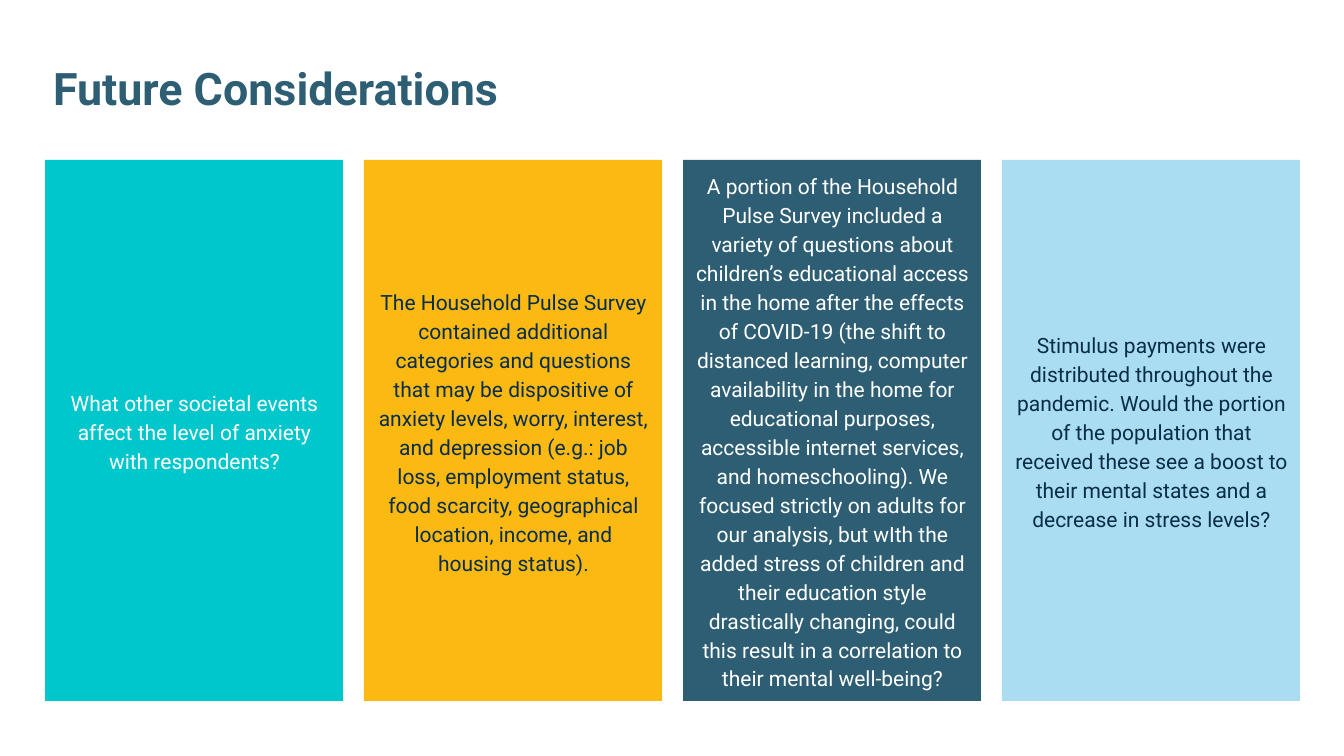
from dataclasses import dataclass

from pptx import Presentation
from pptx.dml.color import RGBColor
from pptx.enum.shapes import MSO_SHAPE
from pptx.enum.text import MSO_ANCHOR, PP_ALIGN
from pptx.slide import Slide
from pptx.text.text import Font
from pptx.util import Pt

SLIDE_WIDTH, SLIDE_HEIGHT = 1344, 756
EMU_PER_PX = 12192000 / SLIDE_WIDTH
CARD_LEFT, CARD_TOP = 45, 160
CARD_WIDTH, CARD_HEIGHT = 298, 541
CARD_PITCH = 319

COLORS = {
    "teal": "00C7CC",
    "amber": "FCB912",
    "slate": "2E5E73",
    "sky": "AADCF2",
    "navy": "082D49",
    "white": "FFFFFF",
}


@dataclass(frozen=True)
class Consideration:
    text: str
    fill: str
    ink: str


CONSIDERATIONS = [
    Consideration(
        "What other societal events affect the level of anxiety with respondents?",
        "teal", "white",
    ),
    Consideration(
        "The Household Pulse Survey contained additional categories and questions "
        "that may be dispositive of anxiety levels, worry, interest, and depression "
        "(e.g.: job loss, employment status, food scarcity, geographical location, "
        "income, and housing status).",
        "amber", "navy",
    ),
    Consideration(
        "A portion of the Household Pulse Survey included a variety of questions "
        "about children’s educational access in the home after the effects of "
        "COVID-19 (the shift to distanced learning, computer availability in the "
        "home for educational purposes, accessible internet services, and "
        "homeschooling). We focused strictly on adults for our analysis, but wIth "
        "the added stress of children and their education style drastically "
        "changing, could this result in a correlation to their mental well-being?",
        "slate", "white",
    ),
    Consideration(
        "Stimulus payments were distributed throughout the pandemic. Would the "
        "portion of the population that received these see a boost to their mental "
        "states and a decrease in stress levels?",
        "sky", "navy",
    ),
]


def px(length: int) -> int:
    return round(length * EMU_PER_PX)


def color(name: str) -> RGBColor:
    return RGBColor.from_string(COLORS[name])


def style_font(font: Font, size: int, ink: str, bold: bool = False) -> None:
    font.name = "Roboto"
    font.size = Pt(size)
    font.bold = bold
    font.color.rgb = color(ink)


def add_heading(slide: Slide, text: str) -> None:
    heading = slide.shapes.title
    heading.left, heading.top = px(0), px(48)
    heading.width, heading.height = px(SLIDE_WIDTH), px(57)
    frame = heading.text_frame
    frame.text = text
    frame.word_wrap = True
    frame.vertical_anchor = MSO_ANCHOR.TOP
    frame.margin_left = px(53)
    frame.margin_top = frame.margin_right = frame.margin_bottom = px(13)
    paragraph = frame.paragraphs[0]
    paragraph.alignment = PP_ALIGN.LEFT
    paragraph.line_spacing = 1.0
    style_font(paragraph.runs[0].font, 32, "slate", bold=True)


def add_card(slide: Slide, index: int, consideration: Consideration) -> None:
    card = slide.shapes.add_shape(
        MSO_SHAPE.RECTANGLE,
        px(CARD_LEFT + index * CARD_PITCH), px(CARD_TOP),
        px(CARD_WIDTH), px(CARD_HEIGHT),
    )
    card.shadow.inherit = False
    card.fill.solid()
    card.fill.fore_color.rgb = color(consideration.fill)
    card.line.fill.background()
    frame = card.text_frame
    frame.text = consideration.text
    frame.word_wrap = True
    frame.vertical_anchor = MSO_ANCHOR.MIDDLE
    frame.margin_left = px(12)
    frame.margin_right = px(11)
    frame.margin_top = frame.margin_bottom = px(10)
    paragraph = frame.paragraphs[0]
    paragraph.alignment = PP_ALIGN.CENTER
    paragraph.line_spacing = 1.15
    style_font(paragraph.runs[0].font, 15, consideration.ink)


def main() -> None:
    presentation = Presentation()
    presentation.slide_width = px(SLIDE_WIDTH)
    presentation.slide_height = px(SLIDE_HEIGHT)
    slide = presentation.slides.add_slide(presentation.slide_layouts[5])
    add_heading(slide, "Future Considerations")
    for index, consideration in enumerate(CONSIDERATIONS):
        add_card(slide, index, consideration)
    presentation.save("out.pptx")


if __name__ == "__main__":
    main()
